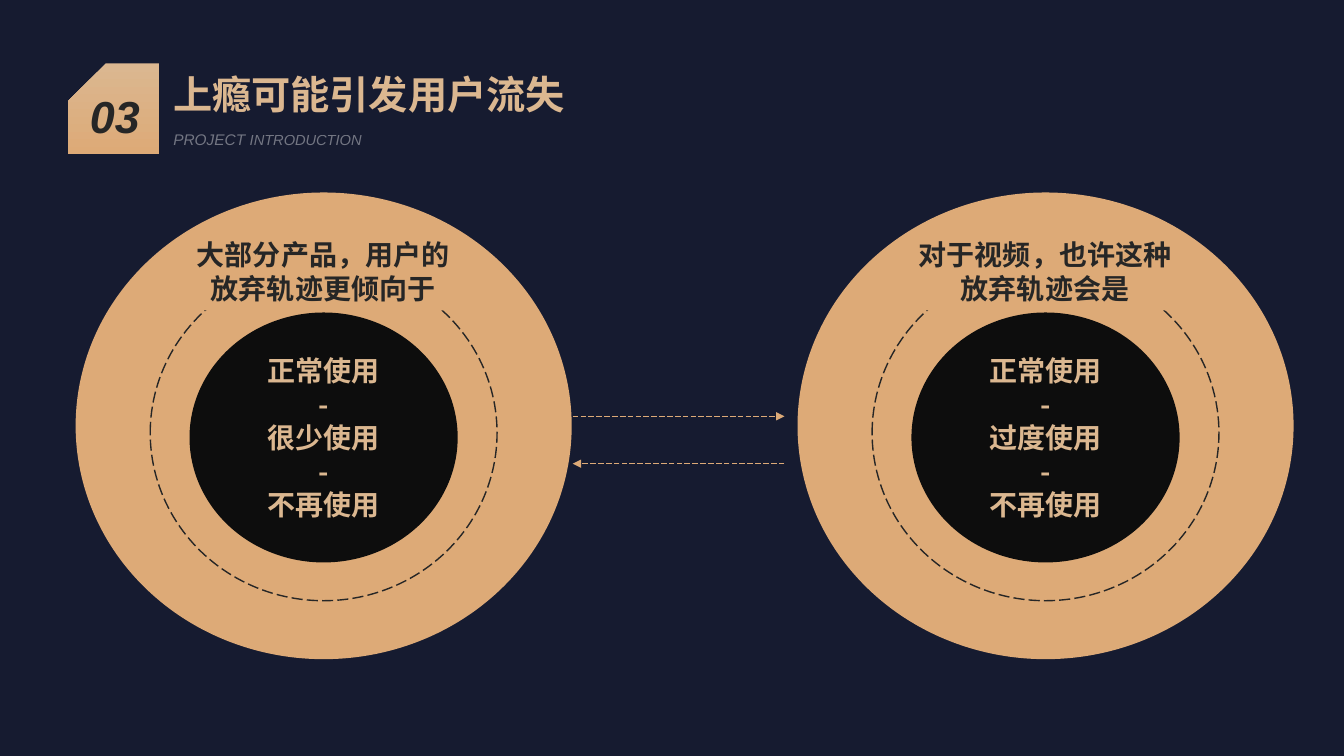
from pptx import Presentation
from pptx.dml.color import RGBColor
from pptx.enum.dml import MSO_LINE
from pptx.enum.shapes import MSO_CONNECTOR, MSO_SHAPE
from pptx.enum.text import MSO_ANCHOR, PP_ALIGN
from pptx.oxml.ns import qn
from pptx.util import Inches, Pt
from lxml.etree import SubElement

COLORS = {
    "navy": "161B30",
    "gold": "DDAA77",
    "pale_gold": "DBB790",
    "black": "0D0D0D",
    "charcoal": "262626",
    "white": "FFFFFF",
}
LATIN, CHINESE = "Arial", "Noto Sans CJK SC"


def rgb(name):
    return RGBColor.from_string(COLORS[name])


def add_run(paragraph, text, size, color, font=CHINESE, bold=False, italic=False, alpha=None):
    run = paragraph.add_run()
    run.text = text
    run.font.size = Pt(size)
    run.font.bold = bold
    run.font.italic = italic
    run.font.color.rgb = rgb(color)
    run.font.name = font
    props = run.font._element
    SubElement(props, qn("a:ea"), typeface=font)
    if alpha is not None:
        SubElement(props.find(".//" + qn("a:srgbClr")), qn("a:alpha"), val=str(alpha * 1000))


def add_label(slide, left, top, width, height, align=PP_ALIGN.LEFT):
    """Add an empty wrapping text box and return its first paragraph."""
    frame = slide.shapes.add_textbox(*map(Inches, (left, top, width, height))).text_frame
    frame.word_wrap = True
    frame.paragraphs[0].alignment = align
    return frame.paragraphs[0]


def add_plain_shape(slide, kind, left, top, width, height, fill=None):
    shape = slide.shapes.add_shape(kind, *map(Inches, (left, top, width, height)))
    shape.shadow.inherit = False
    shape.line.fill.background()
    if fill:
        shape.fill.solid()
        shape.fill.fore_color.rgb = rgb(fill)
    else:
        shape.fill.background()
    return shape


def set_dash(line, color, width):
    line.color.rgb = rgb(color)
    line.width = Pt(width)
    line.dash_style = MSO_LINE.LONG_DASH


def add_header(slide, number, title):
    badge = add_plain_shape(slide, MSO_SHAPE.SNIP_1_RECTANGLE, 0.68, 0.63, 0.9, 0.9)
    badge.adjustments[0] = 0.41
    badge._element.spPr.find(qn("a:xfrm")).set("flipH", "1")
    badge.fill.gradient()
    badge.fill.gradient_angle = 270
    for stop, position, color in zip(badge.fill.gradient_stops, (0.01, 1), ("pale_gold", "gold")):
        stop.position = position
        stop.color.rgb = rgb(color)

    add_run(add_label(slide, 0.72, 0.83, 0.84, 0.64, PP_ALIGN.CENTER), number, 32,
            "charcoal", LATIN, bold=True, italic=True)
    add_run(add_label(slide, 1.62, 0.65, 5.94, 0.57), title, 28, "pale_gold", bold=True)
    subtitle = add_label(slide, 1.62, 1.24, 2.32, 0.29)
    for word, size in (("PROJECT ", 11), ("INTRODUCTION", 10.5)):
        add_run(subtitle, word, size, "white", LATIN, italic=True, alpha=40)


def add_path_disc(slide, left, heading, stages):
    """Add a gold disc whose dark core lists the stages of leaving a product."""
    add_plain_shape(slide, MSO_SHAPE.OVAL, left, 1.91, 4.92, 4.63, "gold")

    core = add_plain_shape(slide, MSO_SHAPE.OVAL, left + 1.13, 3.1, 2.66, 2.48, "black").text_frame
    core.word_wrap = True
    core.vertical_anchor = MSO_ANCHOR.MIDDLE
    for i, text in enumerate("|-|".join(stages).split("|")):
        paragraph = core.add_paragraph() if i else core.paragraphs[0]
        paragraph.alignment = PP_ALIGN.CENTER
        add_run(paragraph, text, 20, "pale_gold", bold=True)

    ring = add_plain_shape(slide, MSO_SHAPE.OVAL, left + 0.74, 2.63, 3.44, 3.33)
    set_dash(ring.line, "charcoal", 1)

    banner = add_plain_shape(slide, MSO_SHAPE.RECTANGLE, left + 1.08, 2.31, 2.75, 0.77, "gold").text_frame
    banner.word_wrap = True
    banner.vertical_anchor = MSO_ANCHOR.TOP
    banner.paragraphs[0].alignment = PP_ALIGN.CENTER
    add_run(banner.paragraphs[0], heading, 20, "charcoal", bold=True)


def add_arrow(slide, start, end, y):
    arrow = slide.shapes.add_connector(MSO_CONNECTOR.STRAIGHT, *map(Inches, (start, y, end, y)))
    set_dash(arrow.line, "gold", 0.5)
    SubElement(arrow.line._get_or_add_ln(), qn("a:tailEnd"), type="triangle")
    SubElement(arrow._element.spPr, qn("a:effectLst"))


def main():
    deck = Presentation()
    deck.slide_width, deck.slide_height = Inches(13.33), Inches(7.5)
    slide = deck.slides.add_slide(deck.slide_layouts[6])
    slide.background.fill.solid()
    slide.background.fill.fore_color.rgb = rgb("navy")

    add_header(slide, "03", "上瘾可能引发用户流失")
    add_path_disc(slide, 0.75, "大部分产品，用户的放弃轨迹更倾向于",
                  ("正常使用", "很少使用", "不再使用"))
    add_arrow(slide, 5.68, 7.78, 4.13)
    add_arrow(slide, 7.78, 5.68, 4.6)
    add_path_disc(slide, 7.91, "对于视频，也许这种放弃轨迹会是",
                  ("正常使用", "过度使用", "不再使用"))
    deck.save("out.pptx")


if __name__ == "__main__":
    main()
